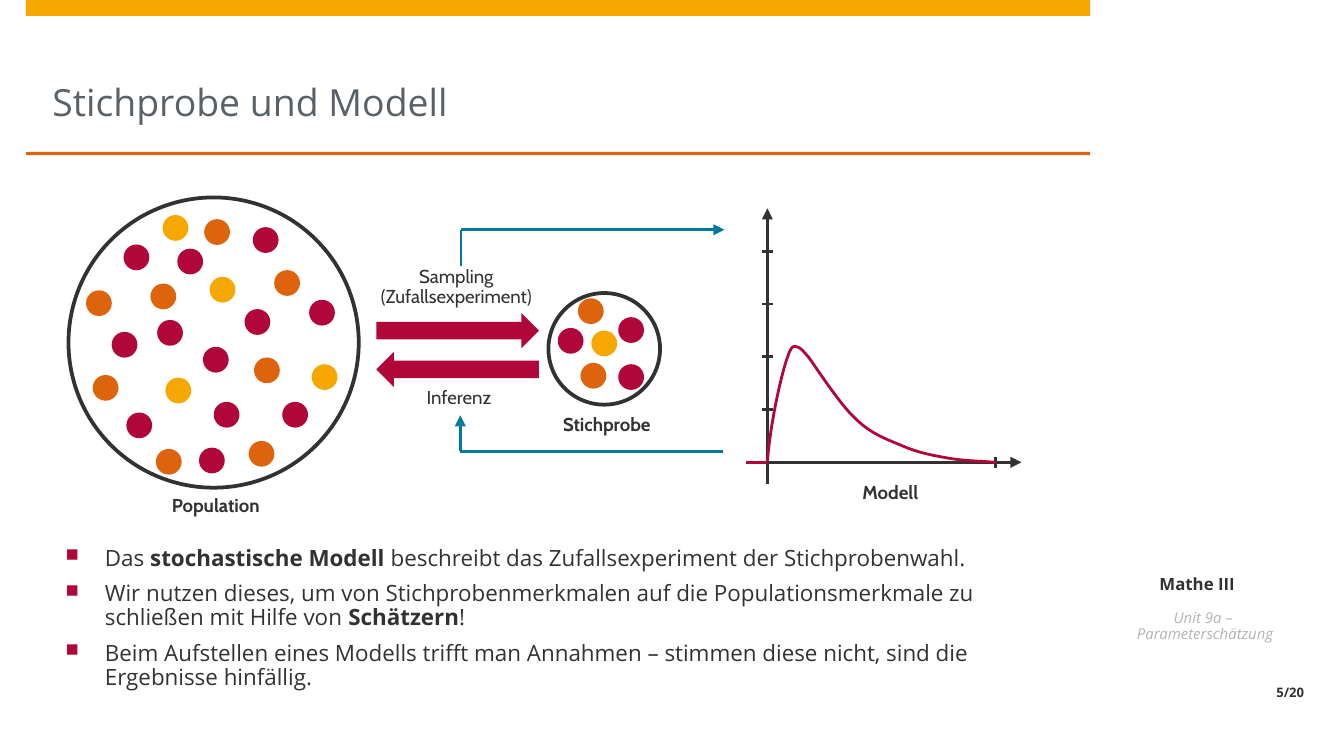
from dataclasses import dataclass

from lxml import etree
from pptx import Presentation
from pptx.dml.color import RGBColor
from pptx.enum.shapes import MSO_CONNECTOR, MSO_SHAPE
from pptx.enum.text import MSO_ANCHOR, PP_ALIGN
from pptx.oxml.ns import qn
from pptx.util import Pt

STRAIGHT = MSO_CONNECTOR.STRAIGHT
RECTANGLE, OVAL = MSO_SHAPE.RECTANGLE, MSO_SHAPE.OVAL
RIGHT_ARROW, LEFT_ARROW = MSO_SHAPE.RIGHT_ARROW, MSO_SHAPE.LEFT_ARROW
TOP, BOTTOM = MSO_ANCHOR.TOP, MSO_ANCHOR.BOTTOM
LEFT, CENTER, RIGHT = PP_ALIGN.LEFT, PP_ALIGN.CENTER, PP_ALIGN.RIGHT

CRIMSON, ORANGE, YELLOW, TEAL = "B1063A", "DD640C", "F6A800", "007A9E"
DARK, GREY, PALE = "323232", "5A6166", "B4B4B4"
DOT_SIZE = 13.8
ORIGIN_X, ORIGIN_Y = 411.1, 247.7
AXIS_START, CURVE_END = 399.6, 533.5
TICK = 2.9


@dataclass
class Label:
    text: str
    left: float
    top: float
    width: float = 87.1
    height: float = 13
    size: float = 10
    font: str = "Cabin"
    color: str = DARK
    bold: bool = False
    italic: bool = False
    align: PP_ALIGN = CENTER
    anchor: MSO_ANCHOR = TOP
    insets: tuple = (0, 0, 0, 0)


@dataclass
class Line:
    start: tuple
    end: tuple
    color: str = DARK
    arrow: bool = False


DOTS = {
    CRIMSON: [
        (95, 133.2), (131, 165.6), (84.2, 171.4), (165.6, 160.6), (114.5, 215.3),
        (59.8, 177.8), (151.2, 215.3), (66.2, 131), (67.7, 221), (106.6, 239.8),
        (135.4, 121.7), (108.7, 185.8),
        (331.2, 195.1), (331.2, 169.9), (298.8, 175.7),
    ],
    ORANGE: [
        (109.4, 117.4), (136.1, 191.5), (146.9, 144.7), (83.5, 240.5), (46.1, 155.5),
        (80.6, 151.9), (49.7, 200.9), (133.2, 236.2),
        (309.6, 159.8), (311, 194.4),
    ],
    YELLOW: [(87.1, 115.2), (88.6, 202.3), (112.3, 148.3), (167, 195.1), (316.8, 177.1)],
}
LABELS = [
    Label("Mathe III", 584, 280.8, 121.7, 41, 9, "Open Sans", bold=True,
          anchor=BOTTOM, insets=(0, 0, 7.2, 3.6)),
    Label("Unit 9a – \vParameterschätzung", 584, 326.9, 121.7, 37.4, 8, "Open Sans",
          PALE, italic=True, insets=(8.6, 0, 7.2, 3.6)),
    Label("5/20", 584, 364.3, 121.7, 14.4, 7, "Open Sans", bold=True,
          align=RIGHT, anchor=BOTTOM, insets=(8.6, 0, 7.2, 3.6)),
    Label("Sampling\v(Zufallsexperiment)", 200.9, 143.3, height=24.5),
    Label("Inferenz", 202.3, 208.1, height=24.5),
    Label("Population", 72, 265.7, bold=True),
    Label("Stichprobe", 281.5, 222.5, bold=True),
    Label("Modell", 433.4, 259.2, bold=True),
]
LINES = [
    Line((AXIS_START, ORIGIN_Y), (547.2, ORIGIN_Y), arrow=True),
    Line((ORIGIN_X, 259.2), (ORIGIN_X, 111.6), arrow=True),
    *[Line((ORIGIN_X + TICK, y), (ORIGIN_X - TICK, y))
      for y in (134.6 + 28.3 * step for step in range(4))],
    Line((CURVE_END, ORIGIN_Y - TICK), (CURVE_END, ORIGIN_Y + TICK)),
    Line((ORIGIN_X, ORIGIN_Y), (AXIS_START, ORIGIN_Y), CRIMSON),
    Line((247, 123.1), (247, 142.6), TEAL),
    Line((246.6, 241.9), (246.6, 222.5), TEAL, arrow=True),
    Line((247, 123.1), (388.1, 123.1), TEAL, arrow=True),
    Line((246.6, 241.9), (387.4, 241.9), TEAL),
]
# Bezier chain: each segment starts where the one before it ends
DENSITY_START = (ORIGIN_X, ORIGIN_Y)
DENSITY_SEGMENTS = [
    ((412.6, 225.4), (421.2, 187.2), (424.8, 185.8)),
    ((428.4, 185), (430.6, 188.6), (432.7, 190.8)),
    ((434.2, 192.2), (449.3, 216), (457.9, 223.9)),
    ((466.6, 232.6), (475.2, 235.4), (483.8, 239)),
    ((491.8, 242.6), (500.4, 244.1), (508.3, 245.5)),
    ((517, 247), (524.9, 247), (CURVE_END, ORIGIN_Y)),
]
# Odd pieces of each paragraph are bold
BULLETS = [
    ["Das ", "stochastische Modell ", "beschreibt das Zufallsexperiment der Stichprobenwahl."],
    ["Wir nutzen dieses, um von Stichprobenmerkmalen auf die Populationsmerkmale zu "
     "schließen mit Hilfe von ", "Schätzern", "!"],
    ["Beim Aufstellen eines Modells trifft man Annahmen – stimmen diese nicht, sind die "
     "Ergebnisse hinfällig."],
]


def rgb(color: str) -> RGBColor:
    return RGBColor.from_string(color)


def add_figure(slide, kind, left: float, top: float, width: float, height: float,
               fill: str = "", outline: str = "") -> None:
    shape = slide.shapes.add_shape(kind, Pt(left), Pt(top), Pt(width), Pt(height))
    shape.shadow.inherit = False
    if fill:
        shape.fill.solid()
        shape.fill.fore_color.rgb = rgb(fill)
    else:
        shape.fill.background()
    if outline:
        shape.line.color.rgb = rgb(outline)
        shape.line.width = Pt(2)
    else:
        shape.line.fill.background()


def format_text(shape, label: Label) -> None:
    shape.left, shape.top = Pt(label.left), Pt(label.top)
    shape.width, shape.height = Pt(label.width), Pt(label.height)
    frame = shape.text_frame
    frame.text = label.text
    frame.word_wrap = True
    frame.vertical_anchor = label.anchor
    (frame.margin_left, frame.margin_top,
     frame.margin_right, frame.margin_bottom) = map(Pt, label.insets)
    paragraph = frame.paragraphs[0]
    paragraph.alignment = label.align
    paragraph.line_spacing = 0.9
    for run in paragraph.runs:
        run.font.name, run.font.size = label.font, Pt(label.size)
        run.font.bold, run.font.italic = label.bold, label.italic
        run.font.color.rgb = rgb(label.color)


def add_line(slide, line: Line) -> None:
    connector = slide.shapes.add_connector(STRAIGHT, *map(Pt, line.start + line.end))
    connector.line.color.rgb = rgb(line.color)
    connector.line.width = Pt(1.5)
    if line.arrow:
        etree.SubElement(connector.line._get_or_add_ln(), qn("a:tailEnd"), type="triangle")
    etree.SubElement(connector._element.spPr, qn("a:effectLst"))


def add_density(slide, steps: int = 12) -> None:
    points, start = [], DENSITY_START
    for first, second, end in DENSITY_SEGMENTS:
        for t in (step / steps for step in range(1, steps + 1)):
            s = 1 - t
            points.append(tuple(
                Pt(s**3 * a + 3 * s * s * t * b + 3 * s * t * t * c + t**3 * d)
                for a, b, c, d in zip(start, first, second, end)))
        start = end
    builder = slide.shapes.build_freeform(*map(Pt, DENSITY_START))
    builder.add_line_segments(points, close=False)
    curve = builder.convert_to_shape()
    curve.shadow.inherit = False
    curve.fill.background()
    curve.line.color.rgb = rgb(CRIMSON)
    curve.line.width = Pt(1.5)


def add_bullets(slide) -> None:
    frame = slide.shapes.add_textbox(Pt(28.1), Pt(289.4), Pt(541.4), Pt(89.3)).text_frame
    frame.word_wrap = True
    for index, pieces in enumerate(BULLETS):
        paragraph = frame.add_paragraph() if index else frame.paragraphs[0]
        properties = paragraph._p.get_or_add_pPr()
        properties.set("marL", str(Pt(21)))
        properties.set("indent", str(Pt(-21)))
        bullet_color = etree.SubElement(properties, qn("a:buClr"))
        etree.SubElement(bullet_color, qn("a:srgbClr"), val=CRIMSON)
        etree.SubElement(properties, qn("a:buSzPct"), val="80000")
        etree.SubElement(properties, qn("a:buChar"), char="■")
        paragraph.line_spacing = 0.9
        paragraph.space_before = Pt(3 if index else 0)
        paragraph.space_after = Pt(3)
        for position, piece in enumerate(pieces):
            run = paragraph.add_run()
            run.text = piece
            run.font.name, run.font.size = "Open Sans", Pt(12)
            run.font.bold = position % 2 == 1
            run.font.color.rgb = rgb(DARK)


def main() -> None:
    presentation = Presentation()
    presentation.slide_width, presentation.slide_height = Pt(720), Pt(405)
    slide = presentation.slides.add_slide(presentation.slide_layouts[5])

    # Frame and title
    add_figure(slide, RECTANGLE, 13.9, 0, 570.2, 8.5, YELLOW)
    add_figure(slide, RECTANGLE, 13.9, 81.4, 570.2, 1.8, ORANGE)
    format_text(slide.shapes.title, Label(
        "Stichprobe und Modell", 28.1, 8.6, 541.4, 72.7, 20, "Open Sans", GREY,
        align=LEFT, anchor=BOTTOM, insets=(0, 0, 0, 14.4)))

    # Population and sample
    add_figure(slide, OVAL, 36.7, 105.8, 155.5, 155.5, outline=DARK)
    add_figure(slide, OVAL, 293.8, 157, 59.8, 59.8, outline=DARK)
    for color, places in DOTS.items():
        for left, top in places:
            add_figure(slide, OVAL, left, top, DOT_SIZE, DOT_SIZE, color)
    add_figure(slide, RIGHT_ARROW, 201.6, 167.8, 87.1, 18.7, CRIMSON)
    add_figure(slide, LEFT_ARROW, 201.6, 188.6, 87.1, 18.7, CRIMSON)

    # Model axes, density and connecting lines
    for line in LINES:
        add_line(slide, line)
    add_density(slide)

    # Labels and text
    for label in LABELS:
        format_text(slide.shapes.add_textbox(0, 0, 0, 0), label)
    add_bullets(slide)
    presentation.save("out.pptx")


if __name__ == "__main__":
    main()
